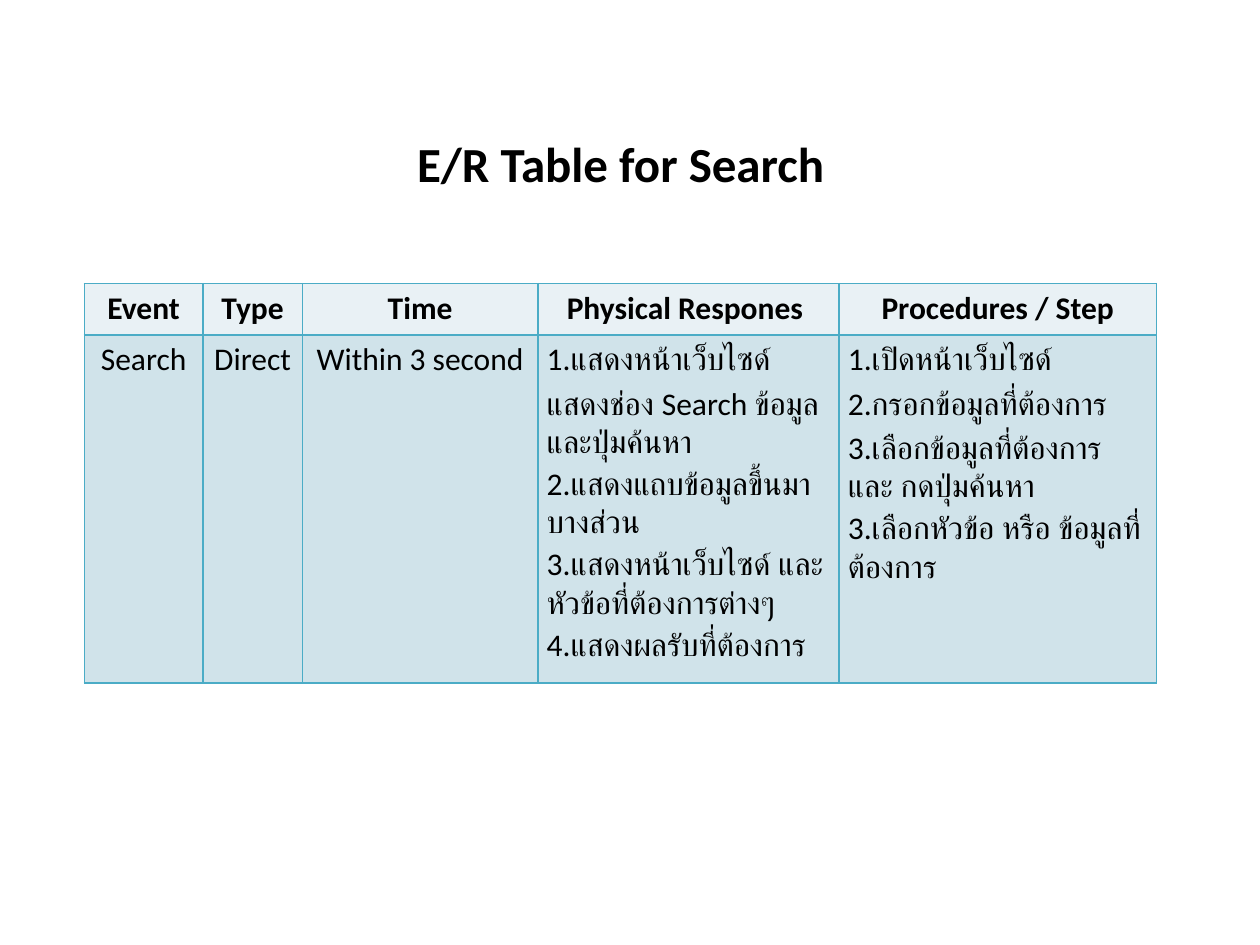
from dataclasses import dataclass

from lxml import etree
from pptx import Presentation, util as u
from pptx.dml.color import RGBColor
from pptx.enum import text as t
from pptx.oxml.ns import qn


@dataclass(frozen=True)
class Theme:
    """Colours, font and type sizes of the slide."""
    font: str = "Calibri"
    ink: str = "000000"
    border: str = "4BACC6"
    head_fill: str = "E9F1F5"
    body_fill: str = "D0E3EA"
    title_size: int = 28
    table_size: int = 18


@dataclass(frozen=True)
class Column:
    """One table column: heading, width in inches, body paragraphs."""
    heading: str
    width: float
    body: tuple[str, ...]
    body_align: t.PP_ALIGN = t.PP_ALIGN.CENTER


THEME = Theme()
TITLE = "E/R Table for Search"
ROW_HEIGHTS = (0.41, 2.74)
COLUMNS = (
    Column("Event", 0.94, ("Search",)),
    Column("Type", 0.79, ("Direct",)),
    Column("Time", 1.87, ("Within 3 second",)),
    Column("Physical Respones ", 2.39, (
        "1.แสดงหน้าเว็บไซด์ แสดงช่อง Search ข้อมูล และปุ่มค้นหา",
        "2.แสดงแถบข้อมูลขึ้นมาบางส่วน",
        "3.แสดงหน้าเว็บไซด์ และ หัวข้อที่ต้องการต่างๆ",
        "4.แสดงผลรับที่ต้องการ",
    ), t.PP_ALIGN.LEFT),
    Column("Procedures / Step", 2.52, (
        "1.เปิดหน้าเว็บไซด์",
        "2.กรอกข้อมูลที่ต้องการ",
        "3.เลือกข้อมูลที่ต้องการ และ กดปุ่มค้นหา",
        "3.เลือกหัวข้อ หรือ ข้อมูลที่ต้องการ",
    ), t.PP_ALIGN.LEFT),
)


def write_text(tf, lines: tuple[str, ...], *, size: int, bold: bool = False,
               align: t.PP_ALIGN = t.PP_ALIGN.LEFT, spacing: float = 1.0) -> None:
    """Write one formatted paragraph per line."""
    for i, line in enumerate(lines):
        p = tf.add_paragraph() if i else tf.paragraphs[0]
        p.alignment, p.line_spacing = align, spacing
        r = p.add_run()
        r.text = line
        r.font.name, r.font.size, r.font.bold = THEME.font, u.Pt(size), bold
        r.font.color.rgb = RGBColor.from_string(THEME.ink)


def add_borders(cell) -> None:
    """Draw a thin line on all four sides of a cell."""
    tc_pr = cell._tc.get_or_add_tcPr()
    for i, side in enumerate(("lnL", "lnR", "lnT", "lnB")):
        ln = etree.Element(qn(f"a:{side}"), w=str(u.Pt(1)))
        fill = etree.SubElement(ln, qn("a:solidFill"))
        etree.SubElement(fill, qn("a:srgbClr"), val=THEME.border)
        tc_pr.insert(i, ln)


def fill_cell(cell, lines: tuple[str, ...], fill: str, *,
              bold: bool = False, align: t.PP_ALIGN = t.PP_ALIGN.CENTER) -> None:
    """Set a cell's margins, fill, borders and text."""
    cell.margin_left = cell.margin_right = u.Inches(0.07)
    cell.margin_top = cell.margin_bottom = 0
    cell.fill.solid()
    cell.fill.fore_color.rgb = RGBColor.from_string(fill)
    add_borders(cell)
    write_text(cell.text_frame, lines, size=THEME.table_size, bold=bold,
               align=align, spacing=1.15)


def add_title(s) -> None:
    """Place and format the title placeholder."""
    sp = s.shapes.title
    sp.left, sp.top = u.Inches(3.19), u.Inches(1.01)
    sp.width, sp.height = u.Inches(3.47), u.Inches(0.57)
    tf = sp.text_frame
    tf.word_wrap = False
    tf.auto_size = t.MSO_AUTO_SIZE.SHAPE_TO_FIT_TEXT
    tf.vertical_anchor = t.MSO_ANCHOR.TOP
    write_text(tf, (TITLE,), size=THEME.title_size, bold=True, align=t.PP_ALIGN.CENTER)


def add_event_table(s) -> None:
    """Add the event and response table."""
    width = sum(c.width for c in COLUMNS)
    table = s.shapes.add_table(
        len(ROW_HEIGHTS), len(COLUMNS), u.Inches(0.67), u.Inches(2.25),
        u.Inches(width), u.Inches(sum(ROW_HEIGHTS))).table
    for row, height in zip(table.rows, ROW_HEIGHTS):
        row.height = u.Inches(height)
    for i, column in enumerate(COLUMNS):
        table.columns[i].width = u.Inches(column.width)
        fill_cell(table.cell(0, i), (column.heading,), THEME.head_fill, bold=True)
        fill_cell(table.cell(1, i), column.body, THEME.body_fill, align=column.body_align)


def main() -> None:
    """Build and save the slide."""
    prs = Presentation()
    prs.slide_width, prs.slide_height = u.Inches(10), u.Inches(7.5)
    s = prs.slides.add_slide(prs.slide_layouts.get_by_name("Title Only"))
    add_title(s)
    add_event_table(s)
    prs.save("out.pptx")


main()
